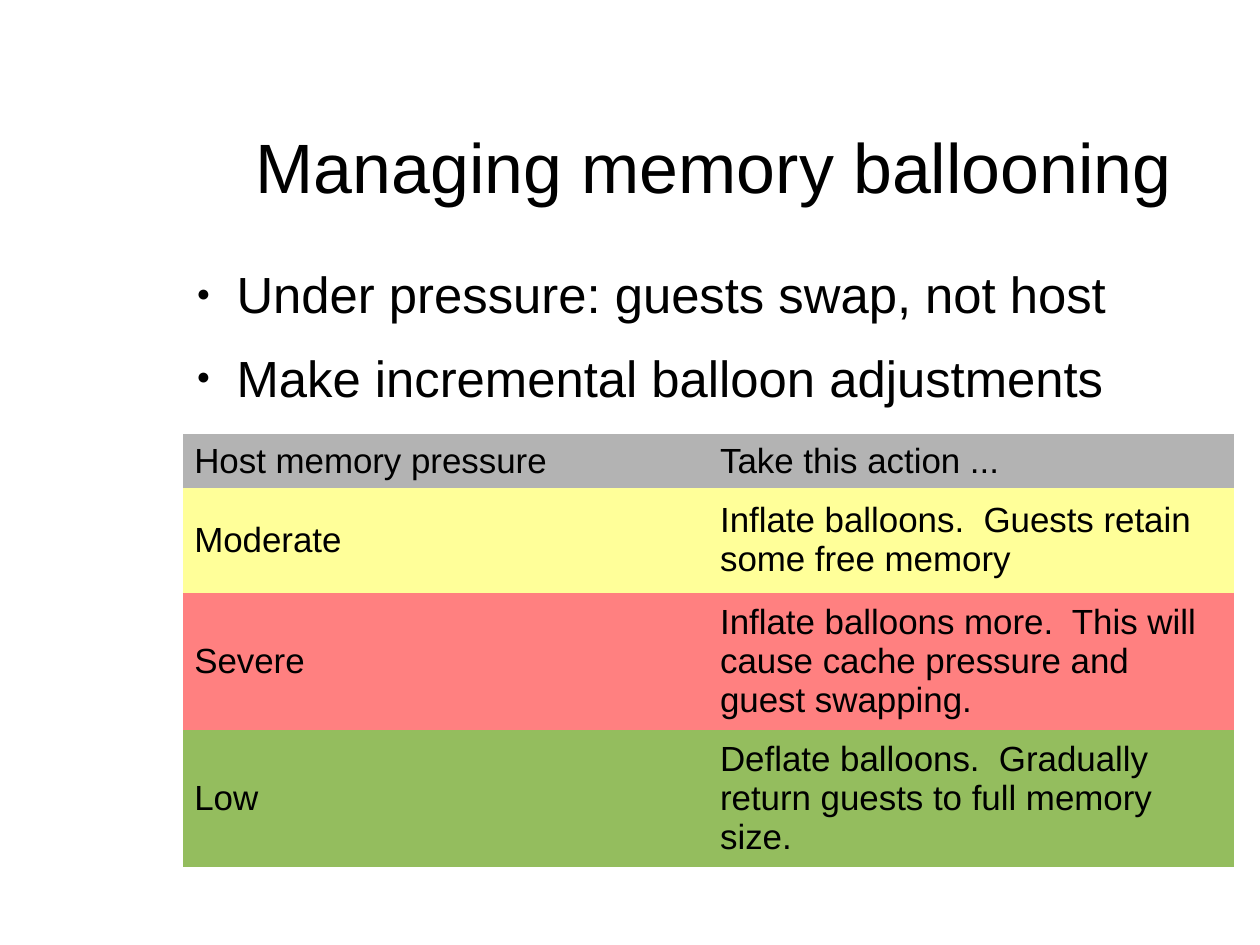
from dataclasses import dataclass

from lxml import etree
from pptx import Presentation
from pptx import util as u
from pptx.dml.color import RGBColor
from pptx.enum import text
from pptx.oxml import ns


@dataclass(frozen=True)
class Theme:
    font: str = "Arial"
    ink: str = "000000"
    title_size: int = 44
    bullet_size: int = 32
    table_size: int = 22
    header: str = "B3B3B3"
    moderate: str = "FFFF99"
    severe: str = "FF8080"
    low: str = "94BD5E"


THEME = Theme()
NO_GRID_STYLE = "{2D5ABB26-0587-4C30-8999-92F81FD0307C}"
CM_PER_INCH = 2.54

POINTS = ["Under pressure: guests swap, not host",
          "Make incremental balloon adjustments"]

# Pressure level, action, fill, least row height
PRESSURE_ROWS = [
    ("Host memory pressure", "Take this action ...", THEME.header, 0.46),
    ("Moderate", "Inflate balloons.  Guests retain some free memory",
     THEME.moderate, 0.92),
    ("Severe", "Inflate balloons more.  This will cause cache pressure "
     "and guest swapping.", THEME.severe, 0.92),
    ("Low", "Deflate balloons.  Gradually return guests to full memory size.",
     THEME.low, 0.92),
]


def apply_format(target, values):
    for name, value in values.items():
        setattr(target, name, value)


def write(paragraph, wording, size):
    paragraph.text = wording
    apply_format(paragraph.font, {"name": THEME.font, "size": u.Pt(size)})
    paragraph.font.color.rgb = RGBColor.from_string(THEME.ink)


def add_frame(slide, box, anchor):
    frame = slide.shapes.add_textbox(*map(u.Inches, box)).text_frame
    apply_format(frame, {
        "word_wrap": True, "vertical_anchor": anchor,
        "margin_left": 0, "margin_right": 0,
        "margin_top": 0, "margin_bottom": 0})
    return frame


def add_bullet(paragraph):
    properties = paragraph._p.get_or_add_pPr()
    properties.set("marL", str(u.Inches(0.47)))
    properties.set("indent", str(u.Inches(-0.35)))
    color = etree.SubElement(properties, ns.qn("a:buClr"))
    etree.SubElement(color, ns.qn("a:srgbClr"), val=THEME.ink)
    etree.SubElement(properties, ns.qn("a:buSzPct"), val="45000")
    etree.SubElement(properties, ns.qn("a:buFont"), typeface=THEME.font)
    etree.SubElement(properties, ns.qn("a:buChar"), char="●")


def add_title(slide, box):
    heading = add_frame(slide, box, text.MSO_ANCHOR.MIDDLE).paragraphs[0]
    write(heading, "Managing memory ballooning", THEME.title_size)
    heading.alignment = text.PP_ALIGN.CENTER


def add_points(slide, box):
    frame = add_frame(slide, box, text.MSO_ANCHOR.TOP)
    for index, wording in enumerate(POINTS):
        point = frame.add_paragraph() if index else frame.paragraphs[0]
        add_bullet(point)
        write(point, wording, THEME.bullet_size)
        point.space_after = u.Pt(14.1)


def add_pressure_table(slide, box):
    holder = slide.shapes.add_table(
        len(PRESSURE_ROWS), 2, *map(u.Inches, box))
    table = holder.table
    apply_format(table, {"first_row": False, "horz_banding": False})
    table._tbl.tblPr.find(ns.qn("a:tableStyleId")).text = NO_GRID_STYLE
    for column in table.columns:
        column.width = u.Inches(box[2] / 2)
    for row, (level, action, fill, height) in zip(table.rows, PRESSURE_ROWS):
        row.height = u.Inches(height)
        for cell, wording in zip(row.cells, (level, action)):
            cell.fill.solid()
            cell.fill.fore_color.rgb = RGBColor.from_string(fill)
            apply_format(cell, {
                "vertical_anchor": text.MSO_ANCHOR.MIDDLE,
                "margin_left": u.Inches(0.1), "margin_right": u.Inches(0.1),
                "margin_top": u.Inches(0.05), "margin_bottom": u.Inches(0.05)})
            write(cell.text_frame.paragraphs[0], wording, THEME.table_size)
    # Rows grow with their text to fill the box
    holder.height = u.Inches(box[3])


def main():
    deck = Presentation()
    deck.slide_width = u.Inches(28 / CM_PER_INCH)
    deck.slide_height = u.Inches(21 / CM_PER_INCH)
    slide = deck.slides.add_slide(deck.slide_layouts[6])
    left = 1.6
    add_title(slide, (left, 0.76, 9.3, 1.38))
    add_points(slide, (left, 2.3, 8.87, 5.25))
    add_pressure_table(slide, (left, 3.8, 9.2, 3.64))
    deck.save("out.pptx")


if __name__ == "__main__":
    main()
